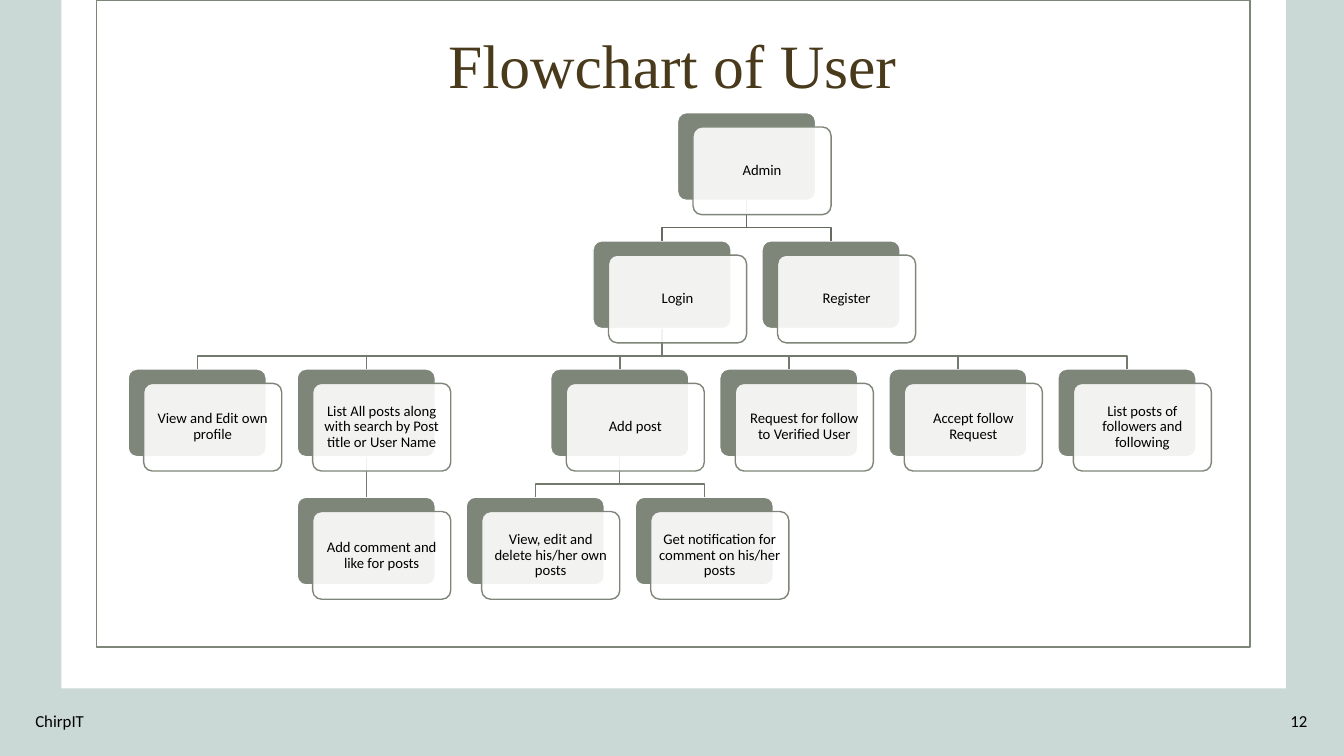
from lxml.etree import SubElement
from pptx import Presentation
from pptx.dml.color import RGBColor
from pptx.enum.shapes import MSO_CONNECTOR, MSO_SHAPE
from pptx.enum.text import MSO_ANCHOR, PP_ALIGN
from pptx.oxml.ns import qn
from pptx.util import Cm, Pt

COLORS = {
    "back": "CAD8D6", "paper": "FFFFFF", "sage": "7E8679", "title": "4A3A1C",
    "text": "000000", "top_link": "656B61", "link": "727A6E",
}
LEFT, TOP = 3.23, 2.84
COL_STEP, ROW_STEP = 4.26, 3.23
CARD_W, CARD_H = 3.48, 2.21
SHIFT_X, SHIFT_Y = 0.39, 0.36
ELBOW = 0.69

NODES = {
    "admin": ("Admin", 3.25, 0, None),
    "login": ("Login", 2.75, 1, "admin"),
    "register": ("Register", 3.75, 1, "admin"),
    "profile": ("View and Edit own profile", 0, 2, "login"),
    "list": ("List All posts along with search by Post title or User Name", 1, 2, "login"),
    "add": ("Add post", 2.5, 2, "login"),
    "request": ("Request for follow to Verified User", 3.5, 2, "login"),
    "accept": ("Accept follow Request", 4.5, 2, "login"),
    "following": ("List posts of followers and following", 5.5, 2, "login"),
    "comment": ("Add comment and like for posts", 1, 3, "list"),
    "edit": ("View, edit and delete his/her own posts", 2, 3, "add"),
    "notify": ("Get notification for comment on his/her posts", 3, 3, "add"),
}


class Deck:
    font = {"name": "Calibri", "size": Pt(12)}
    frame = {"word_wrap": True, "vertical_anchor": MSO_ANCHOR.MIDDLE}
    card_font = {"size": Pt(10.5)}
    card_frame = {
        "margin_left": Cm(0.13), "margin_top": Cm(0.13),
        "margin_right": Cm(0.13), "margin_bottom": Cm(0.13),
    }
    card_par = {"alignment": PP_ALIGN.CENTER, "line_spacing": 0.9}

    def __init__(self):
        self.prs = Presentation()
        self.prs.slide_width, self.prs.slide_height = Cm(33.87), Cm(19.05)
        self.s = self.prs.slides.add_slide(self.prs.slide_layouts[6])
        fill = self.s.background.fill
        fill.solid()
        fill.fore_color.rgb = self.color("back")

    def color(self, name):
        return RGBColor.from_string(COLORS[name])

    def apply(self, target, values):
        for name, value in values.items():
            setattr(target, name, value)

    def stroke(self, line, color):
        line.color.rgb = self.color(color)
        line.width = Pt(1)

    def box(self, x, y, w, h, fill=None, line=None, shape=MSO_SHAPE.RECTANGLE, alpha=None):
        sp = self.s.shapes.add_shape(shape, Cm(x), Cm(y), Cm(w), Cm(h))
        sp.shadow.inherit = False
        if shape == MSO_SHAPE.ROUNDED_RECTANGLE:
            sp.adjustments[0] = 0.1
        if fill:
            sp.fill.solid()
            sp.fill.fore_color.rgb = self.color(fill)
        else:
            sp.fill.background()
        if alpha:
            clr = sp._element.spPr.find(qn("a:solidFill")).find(qn("a:srgbClr"))
            SubElement(clr, qn("a:alpha")).set("val", str(alpha * 1000))
        if line:
            self.stroke(sp.line, line)
        else:
            sp.line.fill.background()
        return sp

    def add_text(self, sp, text, color="text", font={}, par={}, frame={}):
        tf = sp.text_frame
        self.apply(tf, {**self.frame, **frame})
        p = tf.paragraphs[0]
        self.apply(p, par)
        r = p.add_run()
        r.text = text
        self.apply(r.font, {**self.font, **font})
        r.font.color.rgb = self.color(color)

    def label(self, x, y, w, h, text, **style):
        sp = self.s.shapes.add_textbox(Cm(x), Cm(y), Cm(w), Cm(h))
        self.add_text(sp, text, **style)

    def card_back(self, col, row):
        return self.box(LEFT + col * COL_STEP, TOP + row * ROW_STEP, CARD_W, CARD_H,
                        "sage", "paper", MSO_SHAPE.ROUNDED_RECTANGLE)

    def card_front(self, col, row, text):
        sp = self.box(LEFT + SHIFT_X + col * COL_STEP, TOP + SHIFT_Y + row * ROW_STEP,
                      CARD_W, CARD_H, "paper", "sage", MSO_SHAPE.ROUNDED_RECTANGLE, 90)
        self.add_text(sp, text, font=self.card_font, par=self.card_par, frame=self.card_frame)

    def link(self, parent, child, color):
        x1, y1 = parent.left + parent.width // 2, parent.top + parent.height
        x2, y2 = child.left + child.width // 2, child.top
        if x1 == x2:
            cx = self.s.shapes.add_connector(MSO_CONNECTOR.STRAIGHT, x1, y1, x2, y2)
            cx.begin_connect(parent, 2)
            cx.end_connect(child, 0)
            self.stroke(cx.line, color)
            SubElement(cx._element.spPr, qn("a:effectLst"))
            return
        mid = y1 + Cm(ELBOW)
        elbow = self.s.shapes.build_freeform(x1, y1)
        elbow.add_line_segments([(x1, mid), (x2, mid), (x2, y2)], close=False)
        sp = elbow.convert_to_shape()
        sp.shadow.inherit = False
        sp.fill.background()
        self.stroke(sp.line, color)


def main():
    deck = Deck()
    deck.box(1.55, 0, 30.86, 17.35, fill="paper")
    deck.box(2.44, 0, 29.06, 16.31, line="sage")
    deck.label(1.07, 0.48, 31.75, 2.49, "Flowchart of User", color="title",
               font={"name": "Times New Roman", "size": Pt(44)}, par=deck.card_par)
    deck.label(0.64, 17.65, 11.43, 1.02, "ChirpIT")
    deck.label(25.58, 17.65, 7.62, 1.02, "12", par={"alignment": PP_ALIGN.RIGHT})

    backs = {key: deck.card_back(col, row) for key, (_, col, row, _) in NODES.items()}
    for key, (_, _, row, parent) in NODES.items():
        if parent:
            deck.link(backs[parent], backs[key], "top_link" if row == 1 else "link")
    for text, col, row, _ in NODES.values():
        deck.card_front(col, row, text)
    deck.prs.save("out.pptx")


if __name__ == "__main__":
    main()
